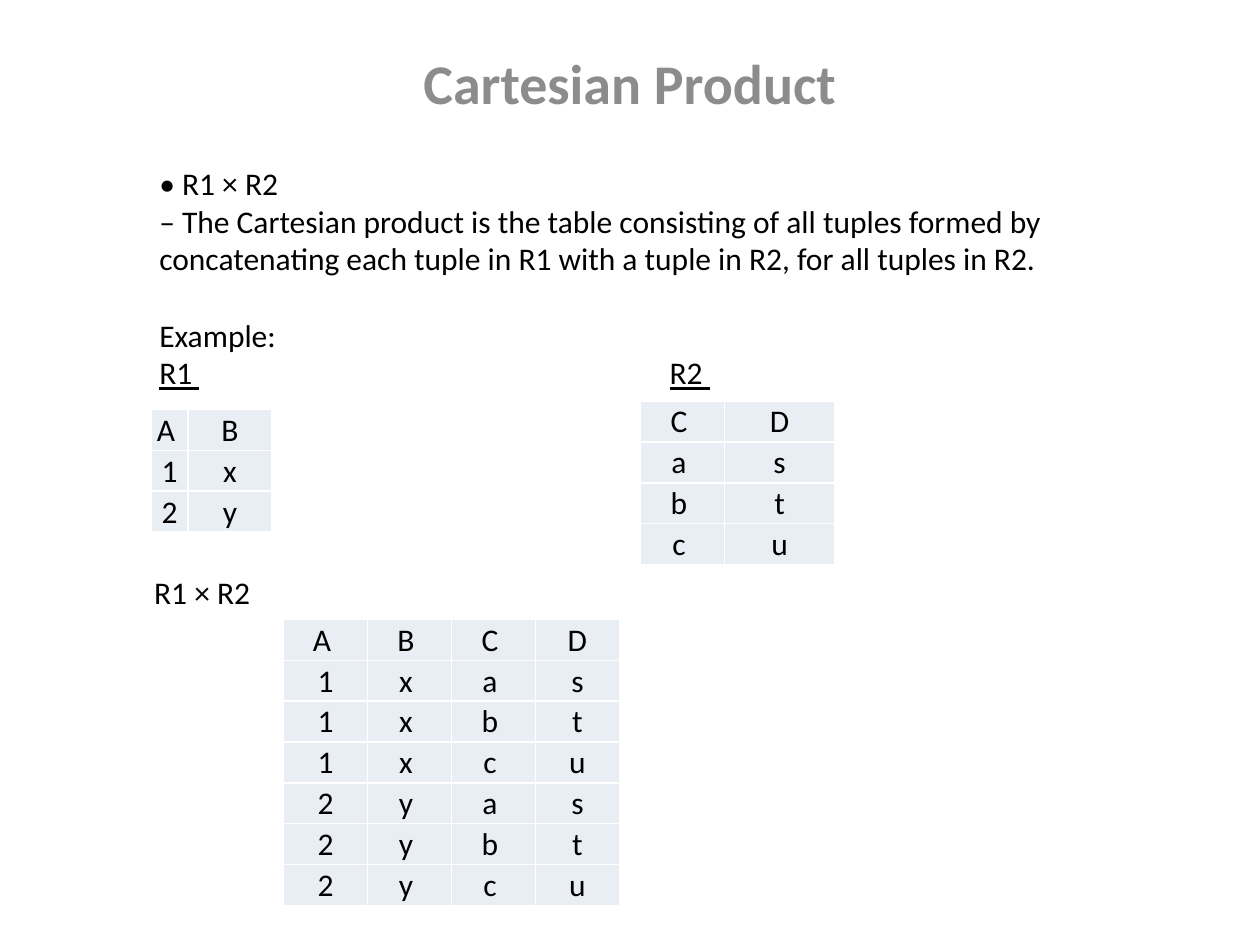
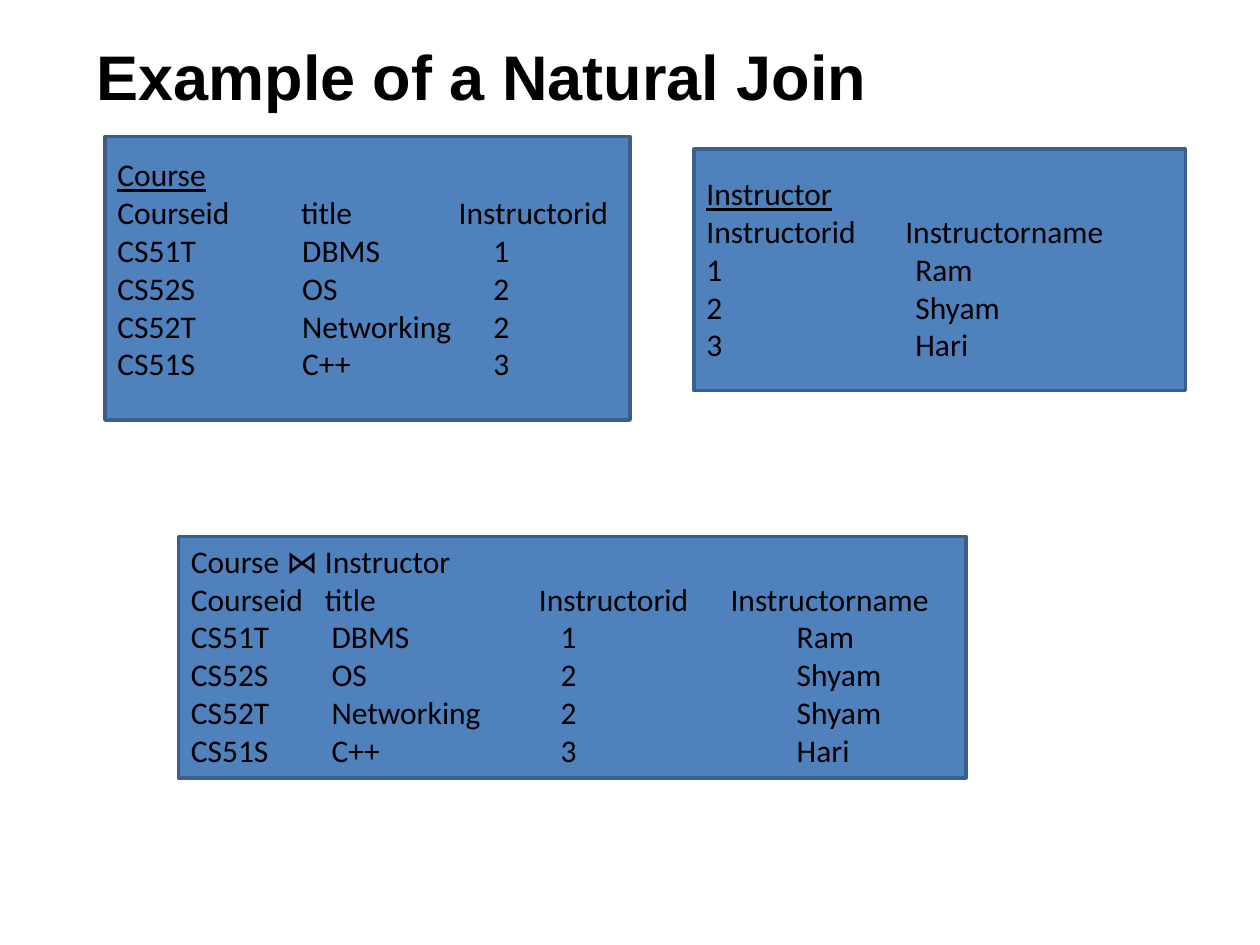
from dataclasses import dataclass
from typing import Any, NamedTuple

from lxml.etree import SubElement
from pptx import Presentation
from pptx.dml.color import RGBColor as Rgb
from pptx.enum.shapes import MSO_SHAPE as Preset
from pptx.enum.text import MSO_ANCHOR as Anchor, MSO_AUTO_SIZE as AutoSize, PP_ALIGN as Align
from pptx.oxml.ns import qn
from pptx.util import Inches, Pt


@dataclass(frozen=True)
class Theme:
    ink: Rgb = Rgb(0, 0, 0)
    muted: Rgb = Rgb(0x8C, 0x8C, 0x8C)
    panel: Rgb = Rgb(0x4F, 0x81, 0xBD)
    panel_edge: Rgb = Rgb(0x3A, 0x5F, 0x8C)
    cell: Rgb = Rgb(0xE9, 0xED, 0xF4)
    cell_edge: str = "FFFFFF"
    body_font: str = "Calibri"
    heading_font: str = "Arial"
    body_size: Pt = Pt(18)
    line_gap: Pt = Pt(22)


THEME = Theme()
SLIDE_WIDTH, SLIDE_HEIGHT = Inches(10), Inches(7.5)
GRID_COLUMNS, GRID_ROWS = 120, 90
TABLE_ROW = 3.89


def across(columns: float) -> int:
    return round(SLIDE_WIDTH * columns / GRID_COLUMNS)


def down(rows: float) -> int:
    return round(SLIDE_HEIGHT * rows / GRID_ROWS)


class Area(NamedTuple):
    """A place on the slide, in grid columns and rows."""
    left: float
    top: float
    width: float
    height: float

    def emu(self) -> tuple[int, int, int, int]:
        return across(self.left), down(self.top), across(self.width), down(self.height)


class Relation(NamedTuple):
    """A table of one-letter values, one word per record."""
    left: float
    top: float
    widths: tuple[float, ...]
    records: list[str]
    anchor: Anchor = Anchor.MIDDLE


class Listing(NamedTuple):
    """A panel with a caption over tab-aligned columns."""
    area: Area
    inset: float
    caption: str
    underline: bool
    header_stops: tuple[float, ...]
    record_stops: tuple[float, ...]
    records: list[tuple[str, ...]]


RELATIONS = [
    Relation(14.4, 39, (3.5, 8), ["AB", "1x", "2y"], Anchor.BOTTOM),
    Relation(61, 38.2, (8, 10.5), ["CD", "as", "bt", "cu"]),
    Relation(27, 59, (8,) * 4,
             ["ABCD"] + [left + right for left in ("1x", "2y") for right in ("as", "bt", "cu")]),
]

COURSES = [
    ("Courseid", "title", "Instructorid"),
    ("CS51T", "DBMS", "1"),
    ("CS52S", "OS", "2"),
    ("CS52T", "Networking", "2"),
    ("CS51S", "C++", "3"),
]
INSTRUCTORS = [
    ("Instructorid", "Instructorname"),
    ("1", "Ram"),
    ("2", "Shyam"),
    ("3", "Hari"),
]
NAME_OF = dict(INSTRUCTORS)
JOINED = [course + (NAME_OF[course[-1]],) for course in COURSES]

LISTINGS = [
    Listing(Area(17, 51.1, 75, 23), 0.5, "Course ⋈ Instructor", False,
            (12.75, 33.15, 51.4), (13.4, 35.2, 57.7), JOINED),
    Listing(Area(66.1, 14.2, 46.8, 23), 2.4, "Instructor", True,
            (18.95,), (19.9,), INSTRUCTORS),
    Listing(Area(10, 13, 50, 27), 1.8, "Course", True,
            (17.5, 32.5), (17.6, 35.8), COURSES),
]


def assign(target: Any, **values: Any) -> None:
    for key, value in values.items():
        setattr(target, key, value)


def add_run(paragraph: Any, text: str, color: Rgb = THEME.ink, **values: Any) -> None:
    run = paragraph.add_run()
    run.text = text
    assign(run.font, **{"name": THEME.body_font, "size": THEME.body_size, **values})
    run.font.color.rgb = color


def set_tab_stops(paragraph: Any, stops: tuple[float, ...]) -> None:
    tab_list = SubElement(paragraph._p.get_or_add_pPr(), qn("a:tabLst"))
    for stop in stops:
        SubElement(tab_list, qn("a:tab"), pos=str(across(stop)), algn="l")


def add_title(slide: Any, text: str, area: Area, align: Align, color: Rgb, **font: Any) -> None:
    title = slide.shapes.title
    assign(title, **dict(zip(("left", "top", "width", "height"), area.emu())))
    assign(title.text_frame, vertical_anchor=Anchor.TOP, word_wrap=True,
           auto_size=AutoSize.NONE)
    paragraph = title.text_frame.paragraphs[0]
    paragraph.alignment = align
    add_run(paragraph, text, color, bold=True, **font)


def add_text_frame(slide: Any, area: Area) -> Any:
    frame = slide.shapes.add_textbox(*area.emu()).text_frame
    frame.word_wrap = True
    return frame


def draw_cell_borders(cell: Any) -> None:
    properties = cell._tc.get_or_add_tcPr()
    for side in ("lnL", "lnR", "lnT", "lnB"):
        edge = SubElement(properties, qn(f"a:{side}"), w=str(Pt(1)))
        fill = SubElement(edge, qn("a:solidFill"))
        SubElement(fill, qn("a:srgbClr"), val=THEME.cell_edge)


def add_relation(slide: Any, relation: Relation) -> None:
    area = Area(relation.left, relation.top, sum(relation.widths),
                TABLE_ROW * len(relation.records))
    table = slide.shapes.add_table(len(relation.records), len(relation.widths),
                                   *area.emu()).table
    assign(table, first_row=False, horz_banding=False)
    for column, width in zip(table.columns, relation.widths):
        column.width = across(width)
    for row, record in zip(table.rows, relation.records):
        row.height = down(TABLE_ROW)
        for index, (cell, value) in enumerate(zip(row.cells, record)):
            draw_cell_borders(cell)
            cell.fill.solid()
            cell.fill.fore_color.rgb = THEME.cell
            assign(cell, vertical_anchor=relation.anchor, margin_left=across(0.1),
                   margin_right=across(0.1), margin_top=down(0.1), margin_bottom=0)
            # Letters before the last column carry a trailing space
            padded = value.isalpha() and index < len(record) - 1
            paragraph = cell.text_frame.paragraphs[0]
            paragraph.alignment = Align.CENTER
            add_run(paragraph, value + " " if padded else value)


def add_listing(slide: Any, listing: Listing) -> None:
    panel = slide.shapes.add_shape(Preset.RECTANGLE, *listing.area.emu())
    panel.shadow.inherit = False
    panel.fill.solid()
    panel.fill.fore_color.rgb = THEME.panel
    panel.line.color.rgb = THEME.panel_edge
    panel.line.width = Pt(2)
    frame = panel.text_frame
    assign(frame, word_wrap=True, vertical_anchor=Anchor.TOP,
           margin_top=down(listing.inset), margin_bottom=0)
    caption = frame.paragraphs[0]
    caption.alignment = Align.LEFT
    add_run(caption, listing.caption, underline=listing.underline)
    for index, record in enumerate(listing.records):
        line = frame.add_paragraph()
        line.alignment = Align.LEFT
        set_tab_stops(line, listing.record_stops if index else listing.header_stops)
        add_run(line, "\t".join(record))


def build_cartesian_product(slide: Any) -> None:
    add_title(slide, "Cartesian Product", Area(6, 4, 108, 15), Align.CENTER,
              THEME.muted, size=Pt(32))
    definition = add_text_frame(slide, Area(14, 15, 101, 34))
    add_run(definition.paragraphs[0], "• R1 × R2")
    add_run(definition.add_paragraph(),
            "– The Cartesian product is the table consisting of all tuples formed by "
            "concatenating each tuple in R1 with a tuple in R2, for all tuples in R2.")
    example = definition.add_paragraph()
    example.space_before = THEME.line_gap
    add_run(example, "Example:")
    operands = definition.add_paragraph()
    set_tab_stops(operands, (48.6,))
    for text, underline in (("R1 ", True), ("\t", False), ("R2 ", True)):
        add_run(operands, text, underline=underline)
    product = add_text_frame(slide, Area(13.5, 54, 96.5, 30.25))
    add_run(product.paragraphs[0], "R1 × R2")
    for relation in RELATIONS:
        add_relation(slide, relation)


def build_natural_join(slide: Any) -> None:
    add_title(slide, "Example of a Natural Join", Area(8, 3, 76.4, 11.3), Align.LEFT,
              THEME.ink, name=THEME.heading_font, size=Pt(36))
    for listing in LISTINGS:
        add_listing(slide, listing)


def main() -> None:
    deck = Presentation()
    assign(deck, slide_width=SLIDE_WIDTH, slide_height=SLIDE_HEIGHT)
    title_only = deck.slide_layouts.get_by_name("Title Only")
    for build in (build_cartesian_product, build_natural_join):
        build(deck.slides.add_slide(title_only))
    deck.save("out.pptx")


if __name__ == "__main__":
    main()
